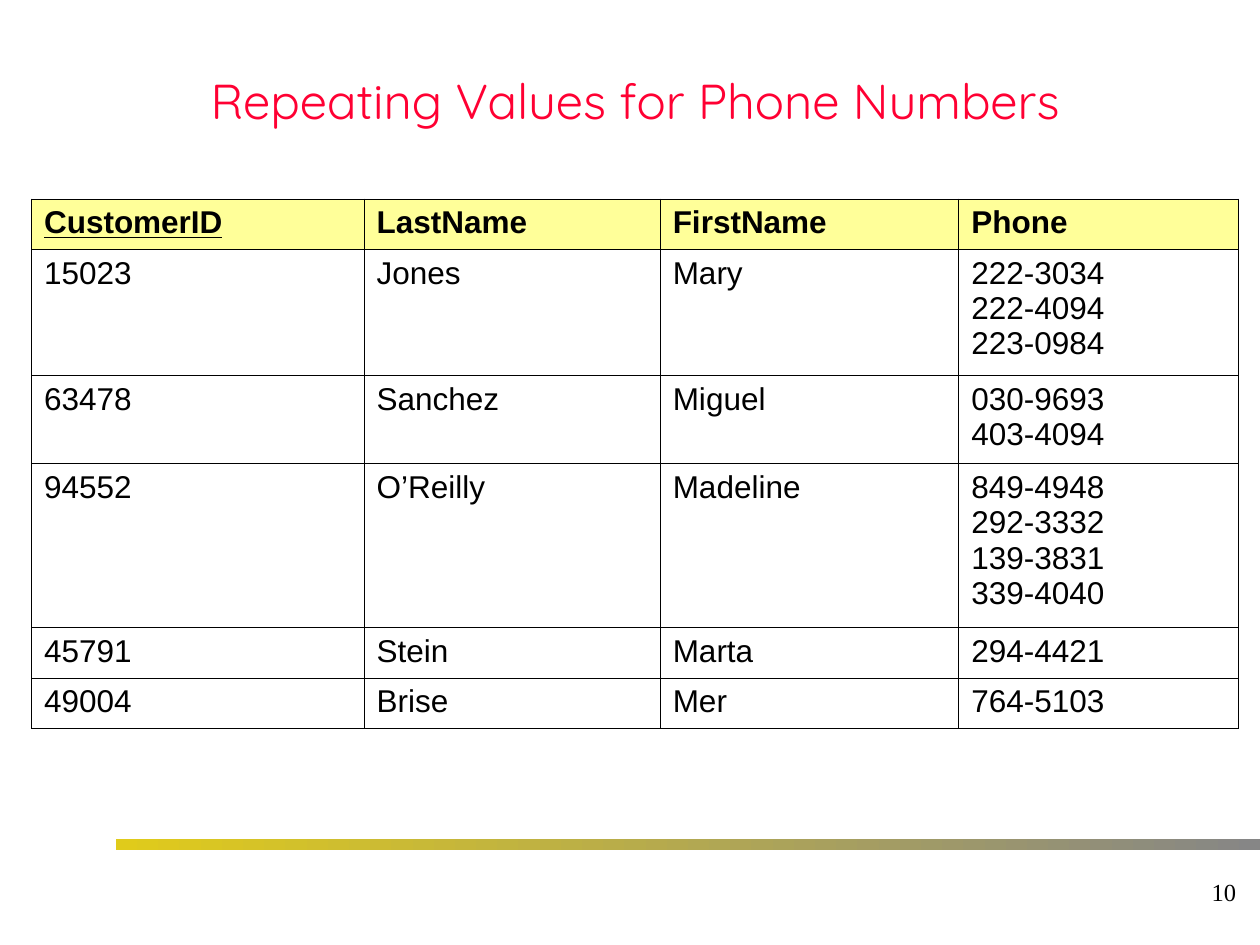
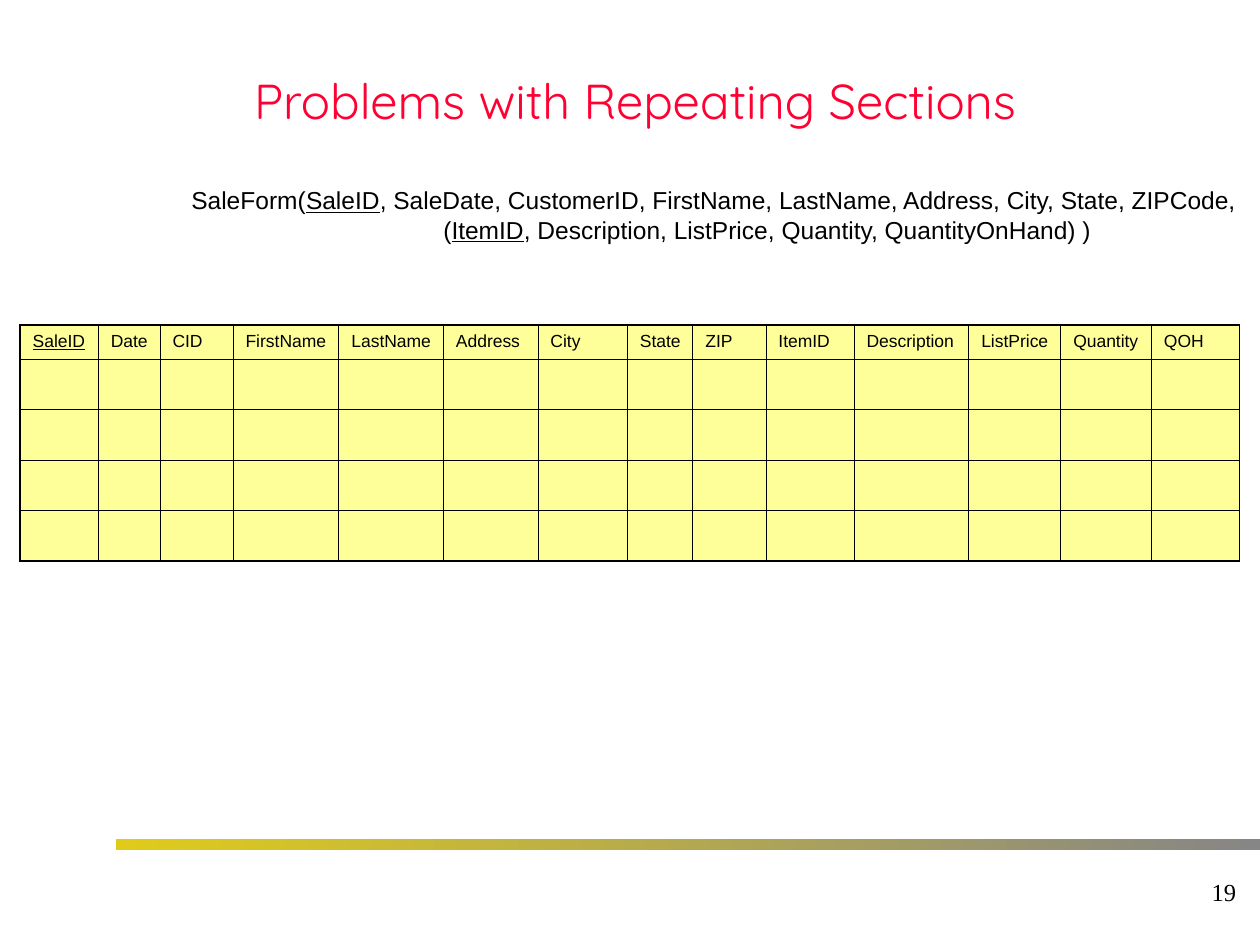
from lxml.etree import SubElement
from pptx import Presentation
from pptx.dml.color import RGBColor
from pptx.enum.shapes import MSO_SHAPE
from pptx.enum.text import MSO_ANCHOR, PP_ALIGN
from pptx.oxml import parse_xml
from pptx.oxml.ns import nsdecls, qn
from pptx.util import Inches, Pt

BLACK = RGBColor(0x00, 0x00, 0x00)
TITLE_RED = RGBColor(0xFF, 0x00, 0x33)
CELL_YELLOW = RGBColor(0xFF, 0xFF, 0x99)
BAND_GOLD = RGBColor(0xE0, 0xCB, 0x1B)
BAND_GRAY = RGBColor(0x86, 0x86, 0x86)

BODY_FONT = "Arial"
TITLE_FONT = "Quicksand"
NUMBER_FONT = "Times New Roman"
THIN, THICK = 0.45, 1.08

BAND_BOX = (0.92, 6.66, 9.08, 0.09)
NUMBER_BOX = (7.83, 6.83, 2.08, 0.5)
TITLE_BOX = (0.25, 0.17, 9.58, 1.25)

CUSTOMERS = [
    ["CustomerID", "LastName", "FirstName", "Phone"],
    ["15023", "Jones", "Mary", "222-3034\n222-4094\n223-0984"],
    ["63478", "Sanchez", "Miguel", "030-9693\n403-4094"],
    ["94552", "O’Reilly", "Madeline", "849-4948\n292-3332\n139-3831\n339-4040"],
    ["45791", "Stein", "Marta", "294-4421"],
    ["49004", "Brise", "Mer", "764-5103"],
]
CUSTOMER_WIDTHS = [2.64, 2.35, 2.37, 2.22]
CUSTOMER_HEIGHTS = [0.4, 1, 0.7, 1.3, 0.4, 0.4]

SALE_COLUMNS = {
    "SaleID": 0.62, "Date": 0.49, "CID": 0.58, "FirstName": 0.84,
    "LastName": 0.83, "Address": 0.75, "City": 0.71, "State": 0.52,
    "ZIP": 0.58, "ItemID": 0.7, "Description": 0.91, "ListPrice": 0.73,
    "Quantity": 0.72, "QOH": 0.7,
}
SALE_HEIGHTS = [0.27, 0.33, 0.33, 0.33, 0.4]
SALE_FORM = [
    (0, "SaleForm(", "SaleID",
     ", SaleDate, CustomerID, FirstName, LastName, Address, City, State, ZIPCode,"),
    (2, "(", "ItemID", ", Description, ListPrice, Quantity, QuantityOnHand) )"),
]


def to_inches(box):
    return [Inches(length) for length in box]


def style_paragraph(paragraph, name, size, color=BLACK, align=PP_ALIGN.LEFT):
    paragraph.alignment = align
    font = paragraph.font
    font.name, font.size = name, Pt(size)
    font.color.rgb = color
    return font


def add_band(slide, box):
    band = slide.shapes.add_shape(MSO_SHAPE.RECTANGLE, *to_inches(box))
    band.shadow.inherit = False
    band.line.fill.background()
    band.fill.gradient()
    band.fill.gradient_angle = 0
    for stop, color in zip(band.fill.gradient_stops, (BAND_GOLD, BAND_GRAY)):
        stop.color.rgb = color


def add_slide_number(slide, box, number):
    frame = slide.shapes.add_textbox(*to_inches(box)).text_frame
    frame.word_wrap = True
    frame.vertical_anchor = MSO_ANCHOR.MIDDLE
    frame.text = str(number)
    style_paragraph(frame.paragraphs[0], NUMBER_FONT, 14, align=PP_ALIGN.RIGHT)


def set_title(slide, box, text):
    title = slide.shapes.title
    title.left, title.top, title.width, title.height = to_inches(box)
    frame = title.text_frame
    frame.text = text
    frame.vertical_anchor = MSO_ANCHOR.MIDDLE
    style_paragraph(frame.paragraphs[0], TITLE_FONT, 28, TITLE_RED, PP_ALIGN.CENTER)


def add_base_slide(presentation, title, number):
    slide = presentation.slides.add_slide(presentation.slide_layouts[5])
    add_band(slide, BAND_BOX)
    add_slide_number(slide, NUMBER_BOX, number)
    set_title(slide, TITLE_BOX, title)
    return slide


def set_borders(cell, widths):
    properties = cell._tc.get_or_add_tcPr()
    for index, (side, width) in enumerate(widths.items()):
        line = parse_xml(f'<a:ln{side} {nsdecls("a")} w="{Pt(width)}"/>')
        fill = SubElement(line, qn("a:solidFill"))
        SubElement(fill, qn("a:srgbClr"), val=str(BLACK))
        properties.insert(index, line)


def add_grid(slide, left, top, rows, widths, heights, size, outer=THIN):
    last_row, last_column = len(heights) - 1, len(widths) - 1
    box = (left, top, sum(widths), sum(heights))
    table = slide.shapes.add_table(len(heights), len(widths), *to_inches(box)).table
    table.first_row = table.horz_banding = False
    for column, width in zip(table.columns, widths):
        column.width = Inches(width)
    for r, (row, height) in enumerate(zip(table.rows, heights)):
        row.height = Inches(height)
        for c, cell in enumerate(row.cells):
            cell.margin_right = Inches(0.05)
            cell.fill.background()
            set_borders(cell, {
                "L": outer if c == 0 else THIN,
                "R": outer if c == last_column else THIN,
                "T": outer if r == 0 else THIN,
                "B": outer if r == last_row else THIN,
            })
            if r < len(rows):
                cell.text = rows[r][c]
                for paragraph in cell.text_frame.paragraphs:
                    style_paragraph(paragraph, BODY_FONT, size)
    table.cell(0, 0).text_frame.paragraphs[0].font.underline = True
    return table


def fill_rows(rows):
    for row in rows:
        for cell in row.cells:
            cell.fill.solid()
            cell.fill.fore_color.rgb = CELL_YELLOW


def add_sale_form(slide, box):
    frame = slide.shapes.add_textbox(*to_inches(box)).text_frame
    frame.word_wrap = True
    for index, (indent, opening, key, fields) in enumerate(SALE_FORM):
        paragraph = frame.add_paragraph() if index else frame.paragraphs[0]
        paragraph._p.get_or_add_pPr().set("marL", str(Inches(indent)))
        style_paragraph(paragraph, BODY_FONT, 14)
        for text in (opening, key, fields):
            run = paragraph.add_run()
            run.text = text
            if text == key:
                run.font.underline = True


def build_phone_slide(presentation):
    slide = add_base_slide(presentation, "Repeating Values for Phone Numbers", 10)
    table = add_grid(slide, 0.25, 1.58, CUSTOMERS, CUSTOMER_WIDTHS, CUSTOMER_HEIGHTS, 18)
    header = table.rows[0]
    fill_rows([header])
    for cell in header.cells:
        cell.text_frame.paragraphs[0].font.bold = True


def build_sections_slide(presentation):
    slide = add_base_slide(presentation, "Problems with Repeating Sections", 19)
    add_sale_form(slide, (1.42, 1.42, 8.52, 0.57))
    table = add_grid(slide, 0.16, 2.58, [list(SALE_COLUMNS)],
                     list(SALE_COLUMNS.values()), SALE_HEIGHTS, 10, THICK)
    fill_rows(table.rows)


def main():
    presentation = Presentation()
    presentation.slide_width, presentation.slide_height = Inches(10), Inches(7.5)
    build_phone_slide(presentation)
    build_sections_slide(presentation)
    presentation.save("out.pptx")


if __name__ == "__main__":
    main()
